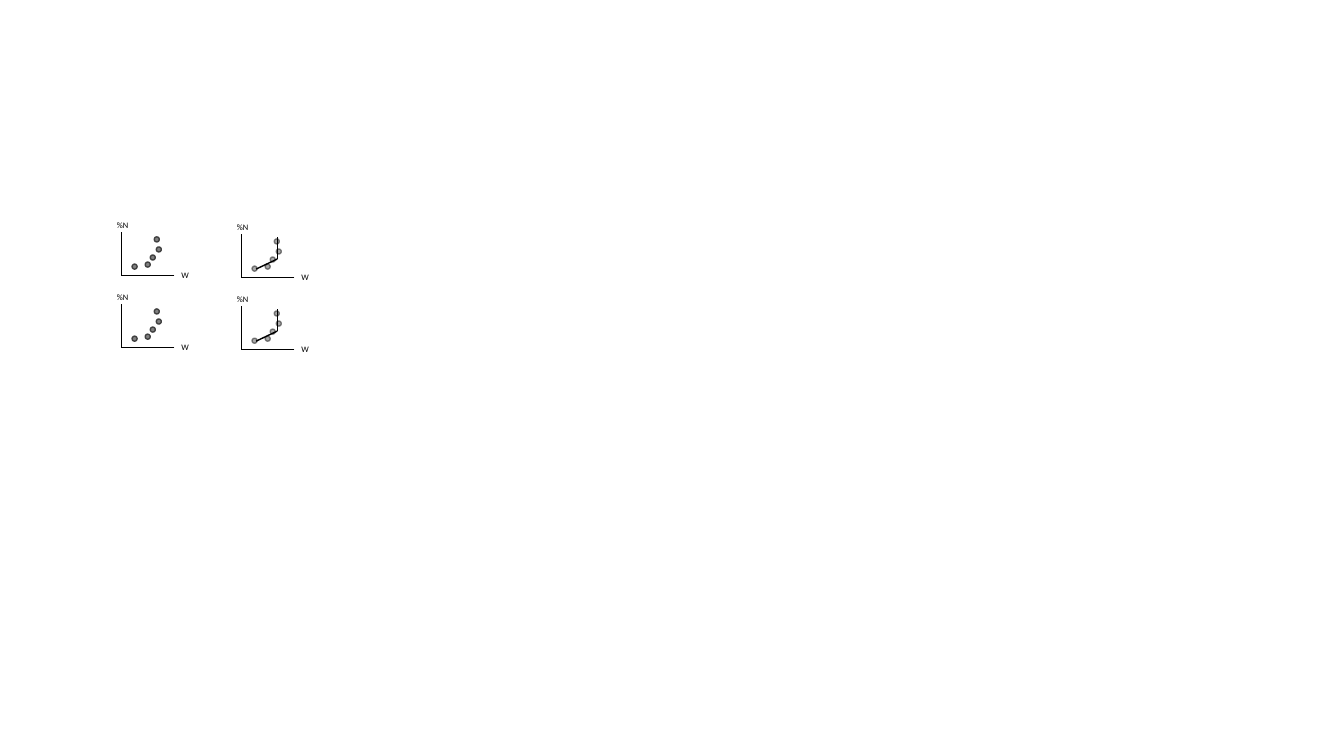
from lxml import etree
from pptx import Presentation
from pptx.dml.color import RGBColor
from pptx.enum import shapes, text
from pptx.oxml import ns
from pptx.util import Inches, Pt

# Offsets are inches from the corner where the two axes meet.
DOTS = [(0.11, -0.11), (0.24, -0.13), (0.29, -0.2), (0.35, -0.28), (0.33, -0.38)]
FIT = [((0.15, -0.08), (0.36, -0.18)), ((0.36, -0.18), (0.36, -0.4))]
AXES = [((0, 0), (0, -0.43)), ((0.53, 0), (0, 0))]
LABELS = [("W", 0.5, -0.1, 0.22), ("%N", -0.16, -0.6, 0.35)]
DOT = 0.05
LEFT, TOP = 1.2, 2.73
STEP_X, STEP_Y = 1.19, 0.715
DROP = 0.02  # the fitted plots sit slightly lower
ALPHA = 66


def paint(fmt, color, alpha=None):
    """Give a fill format a solid colour, with opacity in percent."""
    fmt.solid()
    fmt.fore_color.rgb = RGBColor.from_string(color)
    if alpha:
        for clr in fmt._xPr.iter(ns.qn("a:srgbClr")):
            etree.SubElement(clr, ns.qn("a:alpha"), val=str(alpha * 1000))


def add_dot(group, x, y, color, alpha=None):
    dot = group.shapes.add_shape(shapes.MSO_SHAPE.OVAL, Inches(x), Inches(y),
                                 Inches(DOT), Inches(DOT))
    dot.shadow.inherit = False
    paint(dot.fill, color, alpha)
    dot.line.width = Pt(1)
    paint(dot.line.fill, "404040", alpha)


def add_line(group, x, y, ends, width):
    (x1, y1), (x2, y2) = ends
    line = group.shapes.add_connector(
        shapes.MSO_CONNECTOR.STRAIGHT, Inches(x + x1), Inches(y + y1),
        Inches(x + x2), Inches(y + y2))
    line.line.width = Pt(width)
    paint(line.line.fill, "000000")
    etree.SubElement(line._element.spPr, ns.qn("a:effectLst"))


def add_text(group, words, x, y, width, height=0.2, size=6, color="000000",
             font="Calibri"):
    box = group.shapes.add_textbox(Inches(x), Inches(y), Inches(width), Inches(height))
    frame = box.text_frame
    frame.word_wrap = False
    frame.auto_size = text.MSO_AUTO_SIZE.SHAPE_TO_FIT_TEXT
    par = frame.paragraphs[0]
    par.alignment = text.PP_ALIGN.CENTER
    run = par.add_run()
    run.text = words
    run.font.size = Pt(size)
    run.font.name = font
    paint(run.font.fill, color)


def add_plot(slide, x, y, fitted):
    group = slide.shapes.add_group_shape()
    color, alpha = ("7F7F7F", ALPHA) if fitted else ("808080", None)
    for dx, dy in DOTS:
        add_dot(group, x + dx, y + dy, color, alpha)
    if fitted:
        for ends in FIT:
            add_line(group, x, y, ends, 1)
    for ends in AXES:
        add_line(group, x, y, ends, 0.5)
    for words, dx, dy, width in LABELS:
        add_text(group, words, x + dx, y + dy, width)


def main():
    deck = Presentation()
    deck.slide_width, deck.slide_height = Inches(13.33), Inches(7.5)
    slide = deck.slides.add_slide(deck.slide_layouts[6])
    for row in range(2):
        for col in range(2):
            add_plot(slide, LEFT + col * STEP_X, TOP + row * STEP_Y + col * DROP,
                     fitted=col == 1)
    deck.save("out.pptx")


if __name__ == "__main__":
    main()
